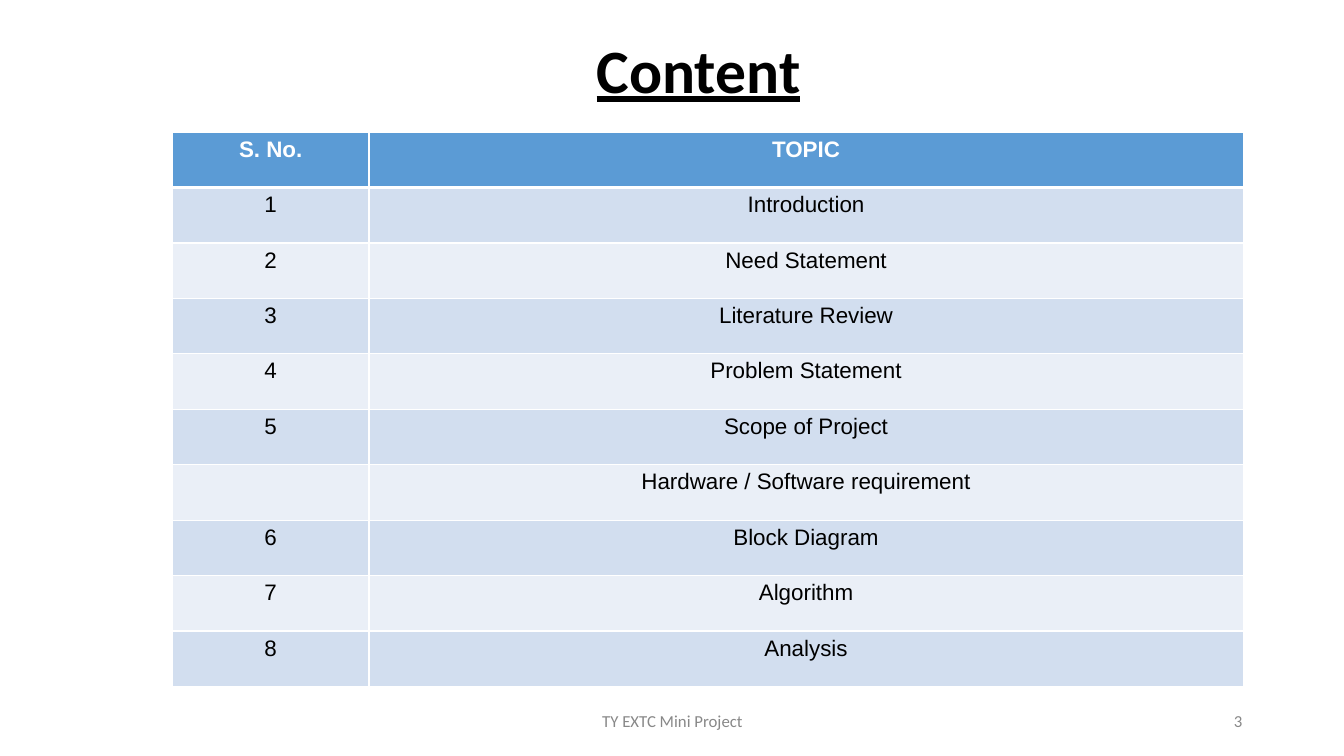
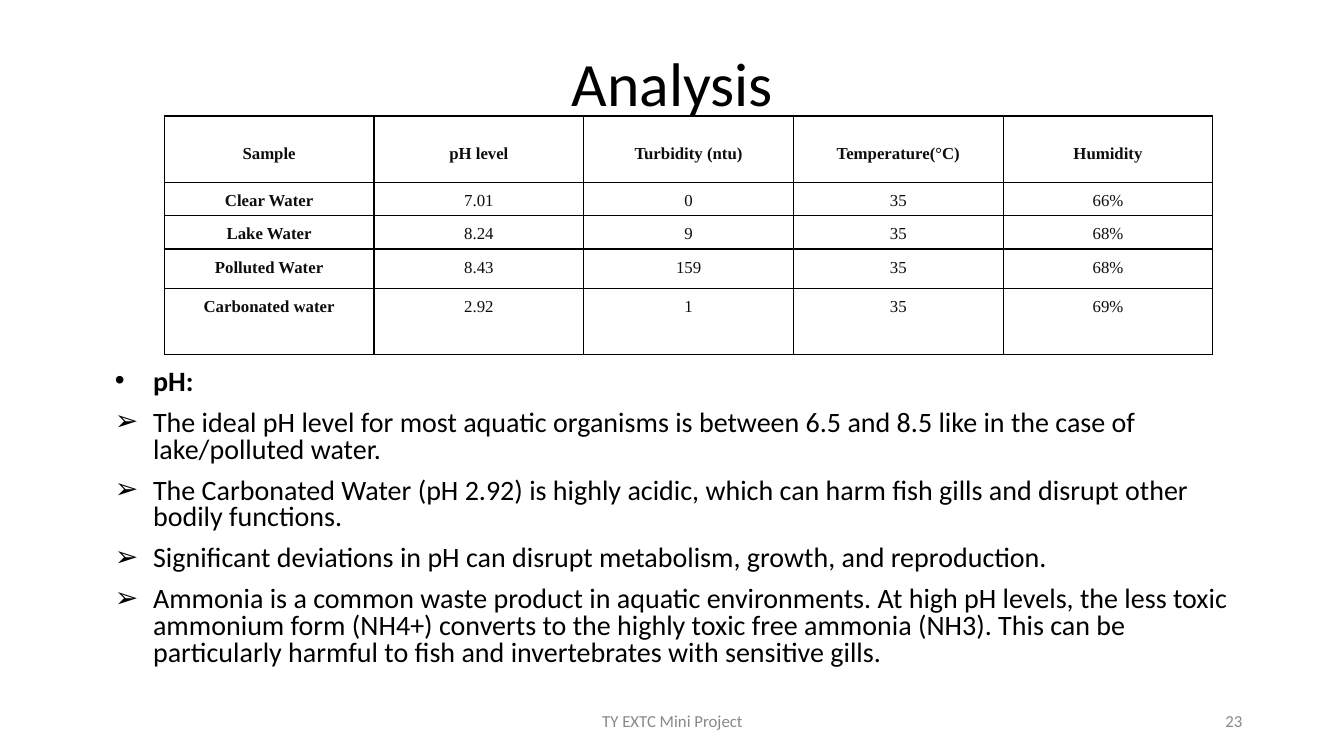
from dataclasses import dataclass
from typing import NamedTuple

from lxml.etree import SubElement
from pptx import Presentation
from pptx.dml.color import RGBColor
from pptx.enum.text import MSO_ANCHOR as Anchor, PP_ALIGN as Align
from pptx.oxml.ns import qn
from pptx.util import Inches, Pt


@dataclass(frozen=True)
class Theme:
    black: str = "000000"
    white: str = "FFFFFF"
    ink: str = "0D0D0D"
    grey: str = "888888"
    header: str = "5B9BD5"
    bands: tuple = ("D2DEEF", "EAEFF7")
    heading: str = "Calibri"
    topic: str = "Arial"
    data: str = "Times New Roman"
    title_size: int = 44
    body_size: int = 20
    topic_size: int = 16
    small_size: int = 12


THEME = Theme()
FOOTER = "TY EXTC Mini Project"


class Area(NamedTuple):
    left: float
    top: float
    width: float
    height: float


class Style(NamedTuple):
    font: str
    size: int
    color: str
    bold: bool = False
    underline: bool = False


class Bullet(NamedTuple):
    mark: str
    text: str
    bold: bool = False


TOPICS = [
    ("S. No.", "TOPIC"),
    ("1", "Introduction"),
    ("2", "Need Statement"),
    ("3", "Literature Review"),
    ("4", "Problem Statement"),
    ("5", "Scope of Project"),
    ("", "Hardware / Software requirement"),
    ("6", "Block Diagram"),
    ("7", "Algorithm"),
    ("8", "Analysis"),
]

SAMPLES = [
    ("Sample", "pH level", "Turbidity (ntu)", "Temperature(°C)", "Humidity"),
    ("Clear Water", "7.01", "0", "35", "66%"),
    ("Lake Water", "8.24", "9", "35", "68%"),
    ("Polluted Water", "8.43", "159", "35", "68%"),
    ("Carbonated water", "2.92", "1", "35", "69%"),
]

FINDINGS = [
    Bullet("•", "pH:", True),
    Bullet("➢", "The ideal pH level for most aquatic organisms is between 6.5 and 8.5 "
                "like in the case of lake/polluted water."),
    Bullet("➢", "The Carbonated Water (pH 2.92) is highly acidic, which can harm fish "
                "gills and disrupt other bodily functions."),
    Bullet("➢", "Significant deviations in pH can disrupt metabolism, growth, and "
                "reproduction."),
    Bullet("➢", "Ammonia is a common waste product in aquatic environments. At high pH "
                "levels, the less toxic ammonium form (NH4+) converts to the highly toxic "
                "free ammonia (NH3). This can be particularly harmful to fish and "
                "invertebrates with sensitive gills."),
]


def format_para(para, style: Style, align=Align.LEFT) -> None:
    para.alignment = align
    for span in para.runs:
        font = span.font
        font.name = style.font
        font.size = Pt(style.size)
        font.bold = style.bold
        font.underline = style.underline
        font.color.rgb = RGBColor.from_string(style.color)


def add_box(page, area: Area, anchor=Anchor.MIDDLE):
    box = page.shapes.add_textbox(*map(Inches, area))
    box.text_frame.word_wrap = True
    box.text_frame.vertical_anchor = anchor
    return box


def add_label(page, area: Area, text: str, style: Style, align) -> None:
    para = add_box(page, area).text_frame.paragraphs[0]
    para.text = text
    para.line_spacing = 0.9 if style.size == THEME.title_size else 1.0
    format_para(para, style, align)


def add_page(deck, title: str, title_area: Area, number: int, emphasis: bool = False):
    page = deck.slides.add_slide(deck.slide_layouts[6])
    title_style = Style(THEME.heading, THEME.title_size, THEME.black, emphasis, emphasis)
    small = Style(THEME.heading, THEME.small_size, THEME.grey)
    add_label(page, title_area, title, title_style, Align.CENTER)
    add_label(page, Area(4.42, 6.95, 4.5, 0.4), FOOTER, small, Align.CENTER)
    add_label(page, Area(9.42, 6.95, 3, 0.4), str(number), small, Align.RIGHT)
    return page


def set_borders(cell, color: str, top: float = 1, bottom: float = 1) -> None:
    properties = cell._tc.get_or_add_tcPr()
    widths = {"a:lnL": 1, "a:lnR": 1, "a:lnT": top, "a:lnB": bottom}
    for position, (tag, width) in enumerate(widths.items()):
        line = SubElement(properties, qn(tag), w=str(Pt(width)))
        fill = SubElement(line, qn("a:solidFill"))
        SubElement(fill, qn("a:srgbClr"), val=color)
        properties.insert(position, line)


def add_grid(page, left: float, top: float, widths: list, heights: list):
    area = Area(left, top, sum(widths), sum(heights))
    table = page.shapes.add_table(len(heights), len(widths), *map(Inches, area)).table
    table.horz_banding = False
    for column, width in zip(table.columns, widths):
        column.width = Inches(width)
    for row, height in zip(table.rows, heights):
        row.height = Inches(height)
    return table


def add_topic_table(page) -> None:
    table = add_grid(page, 1.71, 1.31, [1.95, 8.67], [0.55] * len(TOPICS))
    for row, texts in enumerate(TOPICS):
        is_header = row == 0
        fill = THEME.header if is_header else THEME.bands[(row - 1) % 2]
        color = THEME.white if is_header else THEME.black
        style = Style(THEME.topic, THEME.topic_size, color, is_header)
        for column, text in enumerate(texts):
            cell = table.cell(row, column)
            cell.fill.solid()
            cell.fill.fore_color.rgb = RGBColor.from_string(fill)
            set_borders(cell, THEME.white, 3 if row == 1 else 1, 3 if is_header else 1)
            cell.text_frame.text = text
            format_para(cell.text_frame.paragraphs[0], style, Align.CENTER)


def add_sample_table(page) -> None:
    table = add_grid(page, 1.63, 1.15, [2.08] * 5, [0.66, 0.33, 0.33, 0.39, 0.66])
    for row, texts in enumerate(SAMPLES):
        for column, text in enumerate(texts):
            cell = table.cell(row, column)
            cell.fill.background()
            set_borders(cell, THEME.black)
            cell.margin_left = cell.margin_right = Inches(0.07)
            cell.margin_top = cell.margin_bottom = Inches(0)
            cell.vertical_anchor = Anchor.MIDDLE if row == 0 else Anchor.TOP
            cell.text_frame.text = text
            para = cell.text_frame.paragraphs[0]
            para.line_spacing = 1.5
            para.space_after = Pt(10)
            bold = row == 0 or column == 0
            style = Style(THEME.data, THEME.small_size, THEME.ink, bold)
            format_para(para, style, Align.CENTER)


def set_bullet(para, mark: str) -> None:
    properties = para._p.get_or_add_pPr()
    properties.set("marL", str(Inches(0.5)))
    properties.set("indent", str(Inches(-0.38)))
    color = SubElement(properties, qn("a:buClr"))
    SubElement(color, qn("a:srgbClr"), val=THEME.black)
    SubElement(properties, qn("a:buFont"), typeface=THEME.topic)
    SubElement(properties, qn("a:buChar"), char=mark)


def add_findings(page) -> None:
    frame = add_box(page, Area(0.92, 3.62, 11.5, 3.14), Anchor.TOP).text_frame
    frame.text = "\n".join(finding.text for finding in FINDINGS)
    for index, (para, finding) in enumerate(zip(frame.paragraphs, FINDINGS)):
        para.line_spacing = 0.8
        para.space_before = Pt(10 if index else 0)
        set_bullet(para, finding.mark)
        format_para(para, Style(THEME.heading, THEME.body_size, THEME.black, finding.bold))


def main() -> None:
    deck = Presentation()
    deck.slide_width = Inches(13.33)
    deck.slide_height = Inches(7.5)

    content = add_page(deck, "Content", Area(1.18, 0, 11.5, 1.45), 3, emphasis=True)
    add_topic_table(content)

    analysis = add_page(deck, "Analysis", Area(0.92, 0.13, 11.5, 1.45), 23)
    add_findings(analysis)
    add_sample_table(analysis)

    deck.save("out.pptx")


if __name__ == "__main__":
    main()
